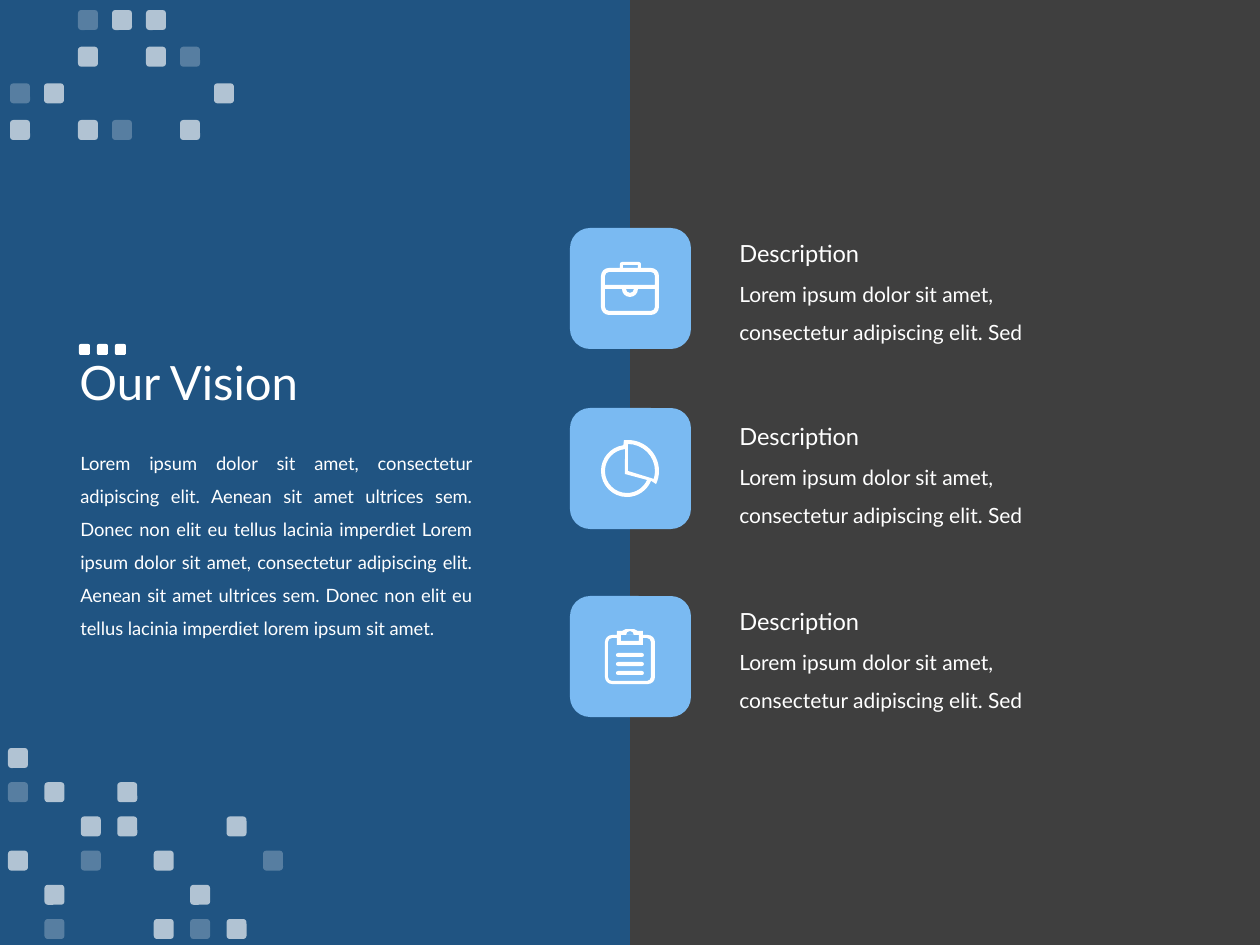
from math import cos, radians, sin, tan

from lxml.etree import Element, SubElement
from pptx import Presentation
from pptx.dml.color import RGBColor
from pptx.enum.shapes import MSO_SHAPE as Kind
from pptx.enum.text import MSO_ANCHOR as Anchor, PP_ALIGN as Align
from pptx.oxml.ns import qn
from pptx.util import Pt

UNIT = 914400 / 126
WHITE = "FFFFFF"
SKY = "7ABAF2"
BLUE = "1060A6"
DARK = "3F3F3F"

TOP = ["..o##..", "..#.#o.", "o#....#", "#.#o.#."]
BASE = ["#.......", "o#.#....", "..##..#.", "#.o.#..o", ".#...#..", ".o..#o#."]
ALPHA = {"#": 65, "o": 25}
VISION = (
    "Lorem ipsum dolor sit amet, consectetur adipiscing elit. Aenean sit amet "
    "ultrices sem. Donec non elit eu tellus lacinia imperdiet Lorem ipsum dolor "
    "sit amet, consectetur adipiscing elit. Aenean sit amet ultrices sem. Donec "
    "non elit eu tellus lacinia imperdiet lorem ipsum sit amet."
)
BLURB = "Lorem ipsum dolor sit amet, consectetur adipiscing elit. Sed"
TILES = [228, 408, 596]
HEADS = [233, 416, 601]


def px(n):
    return round(n * UNIT)


def paint(fill, color, alpha=100):
    fill.solid()
    fill.fore_color.rgb = RGBColor.from_string(color)
    if alpha < 100:
        node = fill._xPr.find(qn("a:solidFill"))[0]
        SubElement(node, qn("a:alpha"), val=str(alpha * 1000))


def style(item, vals):
    for key, val in vals.items():
        setattr(item, key, val)


def finish(shape, color, alpha=100):
    paint(shape.fill, color, alpha)
    shape.line.fill.background()
    shape.shadow.inherit = False


def block(home, kind, area, color, alpha=100):
    finish(home.shapes.add_shape(kind, *map(px, area)), color, alpha)


def label(slide, area, text, size, frame=None, para=None):
    box = slide.shapes.add_textbox(*map(px, area)).text_frame
    style(box, {"word_wrap": True, **(frame or {})})
    line = box.paragraphs[0]
    line.text = text
    style(line, para or {})
    font = line.runs[0].font
    style(font, {"name": "Lato", "size": Pt(size)})
    paint(font.fill, WHITE)


def mosaic(slide, left, top, wide, high, rows):
    group = slide.shapes.add_group_shape()
    for r, row in enumerate(rows):
        for c, mark in enumerate(row):
            if mark in ALPHA:
                x = left + wide * c / (len(row) - 1)
                y = top + high * r / (len(rows) - 1)
                block(group, Kind.ROUNDED_RECTANGLE, (x, y, 20, 20), WHITE, ALPHA[mark])


def arc(x, y, rad, start, end):
    low, high = sorted((start, end))
    stops = [low, *(a for a in range(-90, 361, 90) if low < a < high), high]
    if start > end:
        stops.reverse()
    turns = [radians(a) for a in stops]
    path = [(x + rad * cos(turns[0]), y + rad * sin(turns[0]))]
    for a, b in zip(turns, turns[1:]):
        pull = 4 / 3 * tan((b - a) / 4)
        path.append((x + rad * cos(b), y + rad * sin(b),
                     x + rad * (cos(a) - pull * sin(a)), y + rad * (sin(a) + pull * cos(a)),
                     x + rad * (cos(b) + pull * sin(b)), y + rad * (sin(b) - pull * cos(b))))
    return path


def ring(x, y, w, h, rad):
    right, low = x + w - rad, y + h - rad
    left, high = x + rad, y + rad
    ends = [(left, high), (right, high), (right, low), (left, low)]
    return [p for i, (a, b) in enumerate(ends)
            for p in arc(a, b, rad, 180 + 90 * i, 270 + 90 * i)]


def bend(node, step):
    x, y, *grips = map(px, step)
    end = node[0]
    node.tag = qn("a:cubicBezTo")
    for i in (0, 2):
        spot = Element(qn("a:pt"), x=str(int(end.get("x")) + grips[i] - x),
                       y=str(int(end.get("y")) + grips[i + 1] - y))
        end.addprevious(spot)


def icon(slide, loops):
    pen = None
    for loop in loops:
        dots = [(px(p[0]), px(p[1])) for p in loop]
        if pen:
            pen.move_to(*dots[0])
        else:
            pen = slide.shapes.build_freeform(*dots[0], scale=1.0)
        pen.add_line_segments(dots[1:], close=True)
    shape = pen.convert_to_shape()
    lines = list(shape._element.iter(qn("a:lnTo")))
    steps = [p for loop in loops for p in loop[1:]]
    for node, step in zip(lines, steps):
        if len(step) > 2:
            bend(node, step)
    finish(shape, WHITE)


def case():
    grip = [(620, 268), *arc(622, 264, 2, 180, 270), *arc(639, 264, 2, 270, 360),
            (641, 268), (638, 268), (638, 265), (623, 265), (623, 268)]
    pouch = [(605, 289), *arc(630, 289, 8, 180, 0), (655, 289),
             *arc(651, 307, 4, 0, 90), *arc(609, 307, 4, 90, 180)]
    lid = [*arc(609, 276, 4, 180, 270), *arc(651, 276, 4, 270, 360),
           (655, 285), (605, 285)]
    return [ring(601, 268, 58, 47, 8), grip, lid, pouch, arc(630, 289, 4, 180, 0)]


def pie():
    rim = [*arc(628, 471, 31, -90, 25), *arc(627, 471, 26, 22, 262), (624, 440)]
    wedge = [(628, 471), *arc(628, 471, 27, -90, 17)]
    rest = [(625, 474), *arc(627, 471, 22, 24, 265)]
    return [rim, wedge, rest]


def board():
    clip = [(617, 635), (617, 631), (622, 631), (626, 629), (634, 629),
            (638, 631), (643, 631), (643, 635)]
    page = [(617, 638), (617, 645), (643, 645), (643, 638),
            *arc(647, 642, 4, 270, 360), *arc(647, 677, 4, 0, 90),
            *arc(612, 677, 4, 90, 180), *arc(612, 642, 4, 180, 270)]
    gap = [(621, 635), *arc(630, 635, 4, 180, 360), (639, 635), (639, 641), (621, 641)]
    bars = [ring(616, y, 28, 4, 2) for y in range(653, 672, 9)]
    return [ring(605, 635, 50, 49, 7), clip, page, gap, *bars]


def main():
    deck = Presentation()
    style(deck, {"slide_width": px(1260), "slide_height": px(945)})
    slide = deck.slides.add_slide(deck.slide_layouts[6])
    paint(slide.background.fill, DARK)
    block(slide, Kind.RECTANGLE, (0, 0, 630, 945), BLUE, 65)

    label(slide, (67, 280, 1086, 210), "Our Vision", 27,
          {"vertical_anchor": Anchor.MIDDLE}, {"line_spacing": 0.9})
    label(slide, (68, 435, 417, 209), VISION, 10.5,
          para={"alignment": Align.JUSTIFY, "line_spacing": 1.5})
    for y in TILES:
        block(slide, Kind.ROUNDED_RECTANGLE, (570, y, 121, 121), SKY)
    for y in HEADS:
        label(slide, (727, y + 30, 375, 84), BLURB, 12, para={"line_spacing": 1.5})
        label(slide, (727, y, 222, 42), "Description", 13.5)

    dots = slide.shapes.add_group_shape()
    for x in range(79, 116, 18):
        block(dots, Kind.ROUNDED_RECTANGLE, (x, 344, 11, 11), WHITE)
    mosaic(slide, 8, 748, 255, 171, BASE)
    mosaic(slide, 10, 10, 204, 110, TOP)
    for draw in (case, pie, board):
        icon(slide, draw())
    deck.save("out.pptx")


if __name__ == "__main__":
    main()
